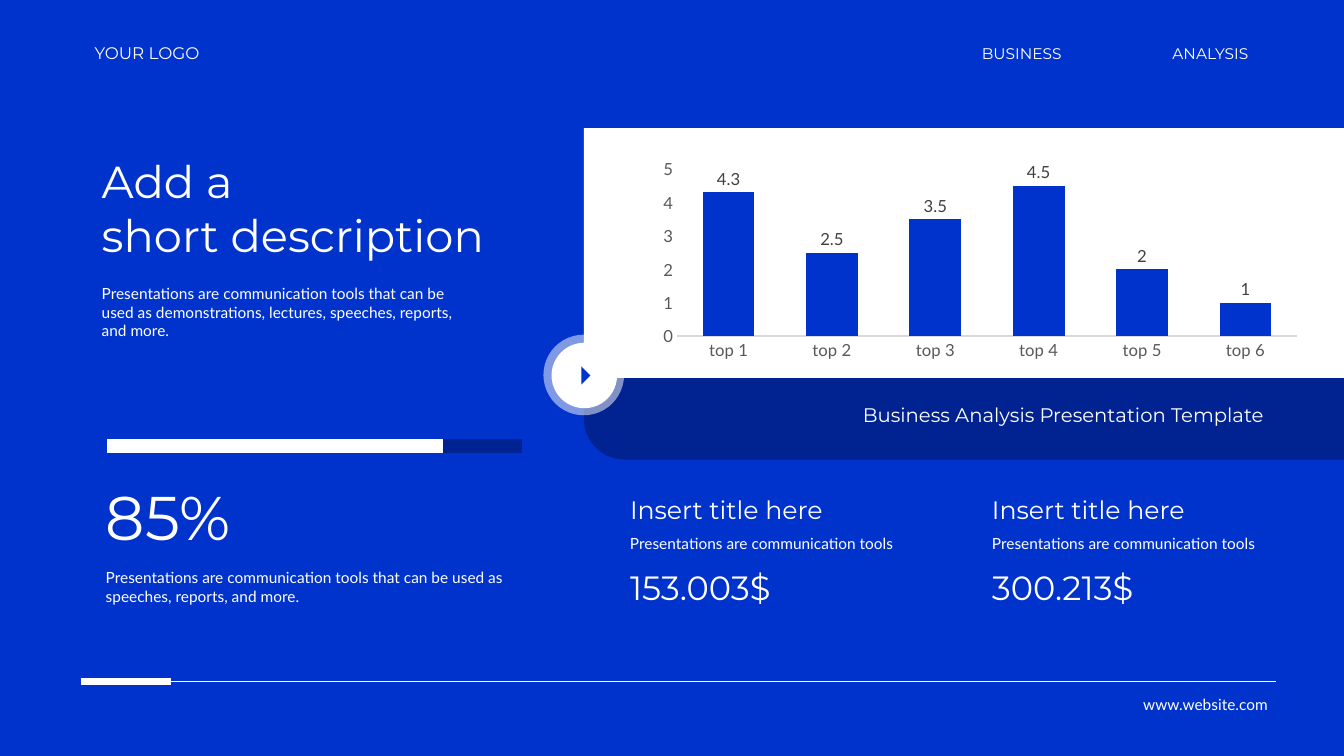
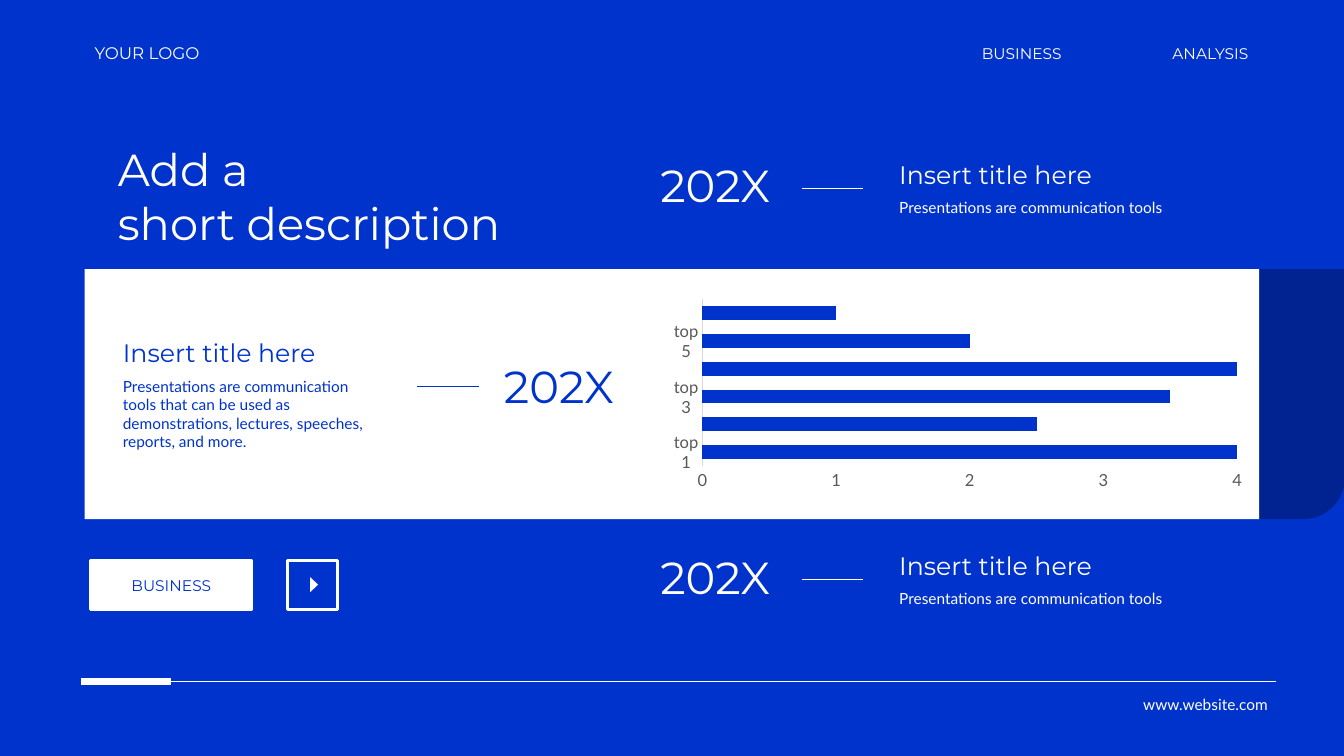
from lxml import etree
from pptx import Presentation
from pptx.chart.data import CategoryChartData
from pptx.dml.color import RGBColor
from pptx.enum.chart import XL_CHART_TYPE, XL_LABEL_POSITION, XL_TICK_MARK
from pptx.enum.shapes import MSO_CONNECTOR, MSO_SHAPE
from pptx.enum.text import MSO_ANCHOR, MSO_AUTO_SIZE, PP_ALIGN
from pptx.oxml.ns import qn
from pptx.util import Inches, Pt

COLUMNS = XL_CHART_TYPE.COLUMN_CLUSTERED
BARS = XL_CHART_TYPE.BAR_CLUSTERED
PROGRESS = XL_CHART_TYPE.BAR_STACKED_100
NO_TICK = XL_TICK_MARK.NONE
OUTSIDE = XL_LABEL_POSITION.OUTSIDE_END
STRAIGHT = MSO_CONNECTOR.STRAIGHT
RECT = MSO_SHAPE.RECTANGLE
ROUND_ONE = MSO_SHAPE.ROUND_1_RECTANGLE
OVAL = MSO_SHAPE.OVAL
TRIANGLE = MSO_SHAPE.ISOSCELES_TRIANGLE
MIDDLE = MSO_ANCHOR.MIDDLE
GROW = MSO_AUTO_SIZE.SHAPE_TO_FIT_TEXT
CENTER = PP_ALIGN.CENTER

COLORS = {
    "white": "FFFFFF",
    "blue": "0033CC",
    "navy": "002391",
    "axis": "D9D9D9",
    "tick": "595959",
    "value": "404040",
}
STYLES = {
    "figure": {"name": "Montserrat", "size": Pt(44)},
    "title": {"name": "Montserrat", "size": Pt(32)},
    "amount": {"name": "Montserrat", "size": Pt(24)},
    "heading": {"name": "Montserrat", "size": Pt(18)},
    "caption": {"name": "Montserrat", "size": Pt(14)},
    "logo": {"name": "Montserrat", "size": Pt(12)},
    "menu": {"name": "Montserrat", "size": Pt(11)},
    "body": {"name": "Lato", "size": Pt(11)},
    "chart": {"name": "Lato", "size": Pt(11.9)},
}
TITLE = "Add a\nshort description"
HEADING = "Insert title here"
BRIEF = "Presentations are communication tools"
DETAIL = BRIEF + " that can be used as demonstrations, lectures, speeches, reports, and more."
RANKING = {"top 1": 4.3, "top 2": 2.5, "top 3": 3.5, "top 4": 4.5, "top 5": 2, "top 6": 1}
RANKING_AREA = (0.053, 0.076, 0.947, 0.746)
PROGRESS_AREA = (0.036, 0.233, 0.961, 0.534)


def rgb(color):
    return RGBColor.from_string(COLORS[color])


def inches(box):
    return [Inches(length) for length in box]


def apply(target, values):
    for attribute, value in values.items():
        setattr(target, attribute, value)


def style_font(font, style, color):
    apply(font, STYLES[style])
    font.color.rgb = rgb(color)


def paint(fill, color):
    fill.solid()
    fill.fore_color.rgb = rgb(color)


def add_text(slide, box, text, style, color="white"):
    frame = slide.shapes.add_textbox(*inches(box)).text_frame
    apply(frame, {"word_wrap": True, "auto_size": GROW, "text": text})
    for paragraph in frame.paragraphs:
        style_font(paragraph.font, style, color)


def add_block(slide, kind, box, fill=None, outline=None, flips=(), rotation=0, corner=None):
    block = slide.shapes.add_shape(kind, *inches(box))
    block.shadow.inherit = False
    block.rotation = rotation
    if fill:
        paint(block.fill, fill)
    else:
        block.fill.background()
    if outline:
        paint(block.line.fill, outline)
        block.line.width = Pt(2)
    else:
        block.line.fill.background()
    if corner:
        block.adjustments[0] = corner
    for flip in flips:
        block._element.spPr.xfrm.set(flip, "1")
    return block


def add_rule(slide, left, right, top, color="white", weight=0.5):
    rule = slide.shapes.add_connector(STRAIGHT, *inches((left, top, right, top)))
    rule.line.color.rgb = rgb(color)
    rule.line.width = Pt(weight)
    etree.SubElement(rule._element.spPr, qn("a:effectLst"))


def set_plot_area(chart, area):
    plot_area = chart._chartSpace.find(qn("c:chart")).find(qn("c:plotArea"))
    for previous in plot_area.findall(qn("c:layout")):
        plot_area.remove(previous)
    layout = etree.Element(qn("c:layout"))
    manual = etree.SubElement(layout, qn("c:manualLayout"))
    settings = {"layoutTarget": "inner", "xMode": "edge", "yMode": "edge"}
    settings.update(zip("xywh", area))
    for tag, value in settings.items():
        etree.SubElement(manual, qn("c:" + tag)).set("val", str(value))
    plot_area.insert(0, layout)


def add_chart(slide, kind, box, categories, series, area, gap):
    data = CategoryChartData()
    data.categories = categories
    for name, (values, _) in series.items():
        data.add_series(name, values)
    chart = slide.shapes.add_chart(kind, *inches(box), data).chart
    apply(chart, {"has_title": False, "has_legend": False})
    style_font(chart.font, "chart", "tick")
    set_plot_area(chart, area)
    plot = chart.plots[0]
    apply(plot, {"gap_width": gap, "vary_by_categories": False})
    for drawn, (_, color) in zip(plot.series, series.values()):
        paint(drawn.format.fill, color)
    for axis in (chart.category_axis, chart.value_axis):
        apply(axis, {"has_major_gridlines": False, "major_tick_mark": NO_TICK,
                     "minor_tick_mark": NO_TICK})
    return chart


def add_ranking(slide, kind, box, maximum):
    series = {"Series 1": (RANKING.values(), "blue")}
    chart = add_chart(slide, kind, box, RANKING.keys(), series, RANKING_AREA, 100)
    apply(chart.value_axis, {"minimum_scale": 0, "maximum_scale": maximum, "major_unit": 1})
    chart.value_axis.format.line.fill.background()
    chart.category_axis.format.line.color.rgb = rgb("axis")
    chart.category_axis.format.line.width = Pt(0.75)
    for axis in (chart.category_axis, chart.value_axis):
        style_font(axis.tick_labels.font, "chart", "tick")
    return chart


def add_progress(slide, box, done):
    series = {"Series 1": ([done], "white"), "Series 2": ([100 - done], "navy")}
    chart = add_chart(slide, PROGRESS, box, ["1"], series, PROGRESS_AREA, 150)
    chart.plots[0].overlap = 100
    for axis in (chart.category_axis, chart.value_axis):
        axis.visible = False


def add_topic(slide, left, top, text=BRIEF, size=(3.14, 0.29), color="white"):
    add_text(slide, (left, top, 2.42, 0.4), HEADING, "heading", color)
    add_text(slide, (left, top + 0.39, *size), text, "body", color)


def add_milestone(slide, top):
    add_text(slide, (6.45, top - 0.01, 1.65, 0.64), "202X", "title")
    add_rule(slide, 7.95, 8.56, top + 0.34)
    add_topic(slide, 8.82, top)


def add_play_badge(slide):
    halo = add_block(slide, OVAL, (5.39, 3.32, 0.8, 0.8), "white")
    tint = halo._element.spPr.find(qn("a:solidFill"))[0]
    etree.SubElement(tint, qn("a:alpha")).set("val", "50000")
    add_block(slide, OVAL, (5.47, 3.4, 0.65, 0.65), "white")
    add_block(slide, TRIANGLE, (5.72, 3.68, 0.18, 0.09), "blue", rotation=90)


def add_button(slide, box, label):
    button = add_block(slide, RECT, box, "white", "white")
    frame = button.text_frame
    apply(frame, {"text": label, "vertical_anchor": MIDDLE, "word_wrap": True})
    frame.paragraphs[0].alignment = CENTER
    style_font(frame.paragraphs[0].font, "menu", "blue")


def new_slide(deck):
    slide = deck.slides.add_slide(deck.slide_layouts[6])
    paint(slide.background.fill, "blue")
    add_text(slide, (9.64, 0.39, 1.5, 0.29), "BUSINESS", "menu")
    add_text(slide, (11.53, 0.39, 1.28, 0.29), "ANALYSIS", "menu")
    add_text(slide, (0.84, 0.37, 2.01, 0.3), "YOUR LOGO", "logo")
    add_rule(slide, 0.8, 12.66, 6.76)
    add_rule(slide, 0.8, 1.7, 6.76, weight=5)
    add_text(slide, (11.24, 6.85, 1.64, 0.3), "www.website.com", "body")
    return slide


def build_results(deck):
    slide = new_slide(deck)
    add_text(slide, (0.91, 1.48, 4.99, 1.18), TITLE, "title")
    add_text(slide, (0.91, 2.77, 3.82, 0.66), DETAIL, "body")

    add_block(slide, ROUND_ONE, (5.79, 3.75, 7.55, 0.81), "navy",
              flips=("flipH", "flipV"), corner=0.5)
    add_block(slide, RECT, (5.79, 1.27, 7.55, 2.48), "white")
    chart = add_ranking(slide, COLUMNS, (6.37, 1.51, 6.5, 2.22), 5)
    labels = chart.plots[0].series[0].data_labels
    apply(labels, {"show_value": True, "position": OUTSIDE})
    style_font(labels.font, "chart", "value")
    add_text(slide, (8.46, 3.95, 4.8, 0.34),
             "Business Analysis Presentation Template", "caption")
    add_play_badge(slide)

    add_progress(slide, (0.91, 4.1, 4.28, 0.66), 81)
    add_text(slide, (0.95, 4.7, 2.42, 0.84), "85%", "figure")
    add_text(slide, (0.95, 5.59, 4.28, 0.47),
             BRIEF + " that can be used as speeches, reports, and more.", "body")
    for left, amount in ((6.15, "153.003$"), (9.74, "300.213$")):
        add_topic(slide, left, 4.86)
        add_text(slide, (left, 5.58, 2.42, 0.5), amount, "amount")


def build_timeline(deck):
    slide = new_slide(deck)
    add_text(slide, (1.07, 1.36, 4.99, 1.18), TITLE, "title")
    for top in (1.53, 5.41):
        add_milestone(slide, top)

    add_block(slide, RECT, (0.84, 2.67, 11.65, 2.48), "white")
    add_block(slide, ROUND_ONE, (12.49, 2.67, 0.85, 2.48), "navy",
              flips=("flipV",), corner=0.485)
    add_topic(slide, 1.12, 3.3, DETAIL, (2.61, 0.84), "blue")
    add_rule(slide, 4.14, 4.75, 3.83, "blue")
    add_text(slide, (4.9, 3.51, 1.65, 0.64), "202X", "title", "blue")
    add_ranking(slide, BARS, (6.67, 2.8, 5.65, 2.22), 4)

    add_button(slide, (0.9, 5.56, 1.6, 0.49), "BUSINESS")
    add_block(slide, RECT, (2.85, 5.56, 0.5, 0.49), outline="white")
    add_block(slide, TRIANGLE, (3.04, 5.76, 0.15, 0.08), "white", rotation=90)


def main():
    deck = Presentation()
    apply(deck, {"slide_width": Inches(13.33), "slide_height": Inches(7.5)})
    build_results(deck)
    build_timeline(deck)
    deck.save("out.pptx")


if __name__ == "__main__":
    main()
